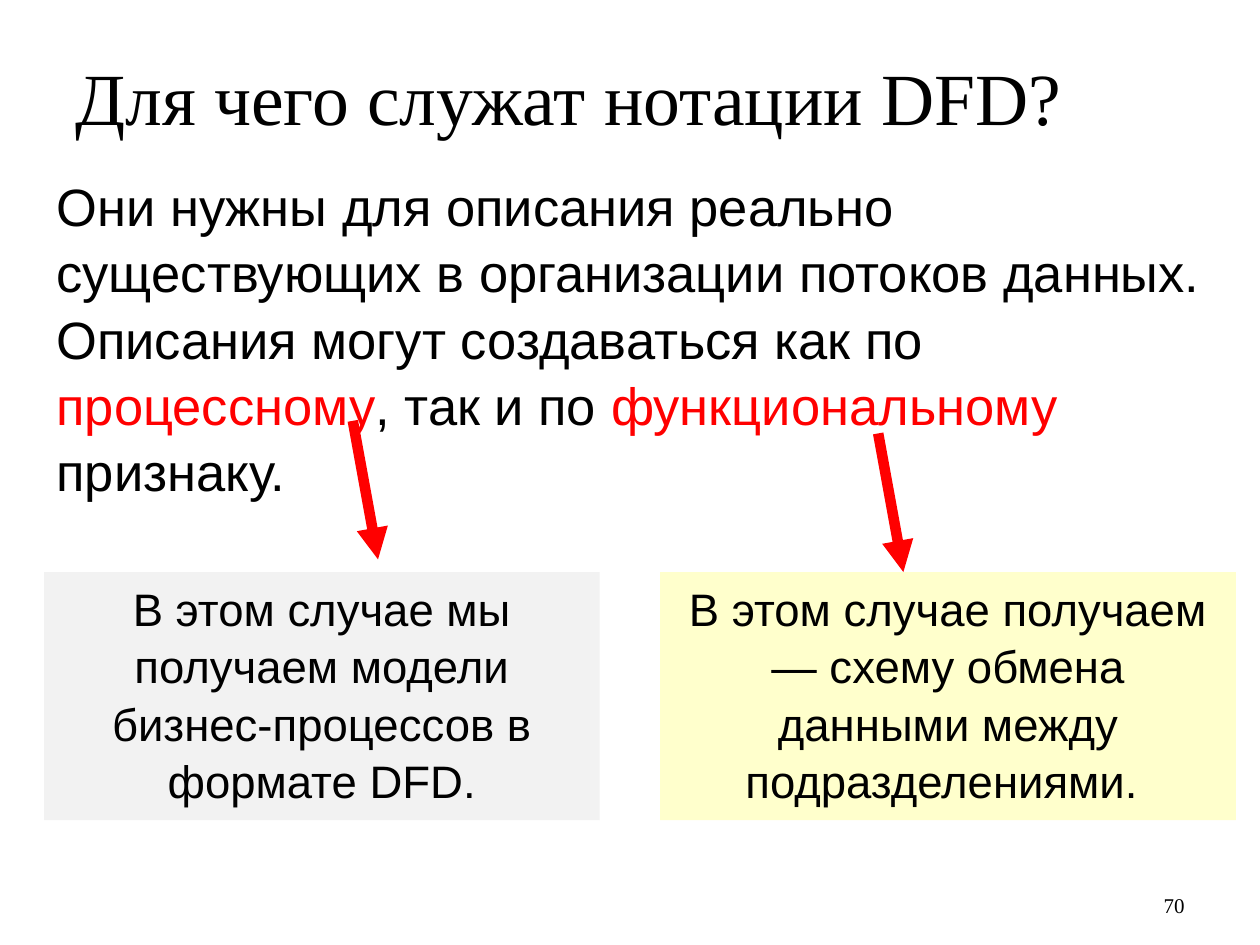
"""Builds a slide on what DFD notations are for."""
from lxml import etree
from pptx import Presentation
from pptx.dml.color import RGBColor
from pptx.enum import shapes, text
from pptx.oxml.ns import qn
from pptx.util import Inches, Pt

RED = "FF0000"
BLACK = "000000"


def tint(code):
    """Turn a hex string into a colour."""
    return RGBColor.from_string(code)


def write(shape, runs, size, font="Arial", align=text.PP_ALIGN.LEFT,
          anchor=text.MSO_ANCHOR.TOP, before=0, space=1.0, top=0.05):
    """Fill a shape with one paragraph of (words, colour) runs."""
    frame = shape.text_frame
    frame.word_wrap = True
    frame.vertical_anchor = anchor
    frame.margin_top = Inches(top)
    para = frame.paragraphs[0]
    para.alignment = align
    para.space_before = Pt(before)
    para.line_spacing = space
    for words, code in runs:
        run = para.add_run()
        run.text = words
        run.font.size = Pt(size)
        run.font.name = font
        run.font.color.rgb = tint(code)


deck = Presentation()
deck.slide_width, deck.slide_height = Inches(10), Inches(7.5)
slide = deck.slides.add_slide(deck.slide_layouts[6])
items = slide.shapes

title = items.add_textbox(Inches(0.5), Inches(0.3), Inches(9), Inches(1.25))
write(title, [("Для чего служат нотации DFD?", BLACK)], 42,
      font="Times New Roman", top=0.11)

body = items.add_textbox(Inches(0.35), Inches(1.31), Inches(9.45), Inches(4.95))
write(body, [
    ("Они нужны для описания реально существующих в организации потоков "
     "данных. Описания могут создаваться как по ", BLACK),
    ("процессному", RED),
    (", так и по ", BLACK),
    ("функциональному ", RED),
    ("признаку.", BLACK),
], 30, before=7.5, space=1.05)

number = items.add_textbox(Inches(7.17), Inches(6.83), Inches(2.33), Inches(0.5))
write(number, [("70", BLACK)], 12, font="Times New Roman",
      align=text.PP_ALIGN.RIGHT, anchor=text.MSO_ANCHOR.BOTTOM)

cases = [
    (0.35, 4.41, "F2F2F2",
     "В этом случае мы получаем модели бизнес-процессов в формате DFD."),
    (5.24, 4.57, "FFFFCC",
     "В этом случае получаем — схему обмена данными между подразделениями. "),
]
for left, width, fill, words in cases:
    box = items.add_shape(shapes.MSO_SHAPE.RECTANGLE, Inches(left), Inches(4.54),
                          Inches(width), Inches(1.97))
    box.shadow.inherit = False
    box.fill.solid()
    box.fill.fore_color.rgb = tint(fill)
    box.line.fill.background()
    write(box, [(words, BLACK)], 26, align=text.PP_ALIGN.CENTER,
          before=6.5, space=1.05)

for left, top in [(6.97, 3.44), (2.8, 3.34)]:
    arrow = items.add_connector(shapes.MSO_CONNECTOR.STRAIGHT, Inches(left),
                                Inches(top), Inches(left + 0.2), Inches(top + 1.1))
    arrow.line.color.rgb = tint(RED)
    arrow.line.width = Pt(6)
    etree.SubElement(arrow.line._get_or_add_ln(), qn("a:tailEnd"), type="triangle")
    etree.SubElement(arrow._element.spPr, qn("a:effectLst"))

deck.save("out.pptx")
